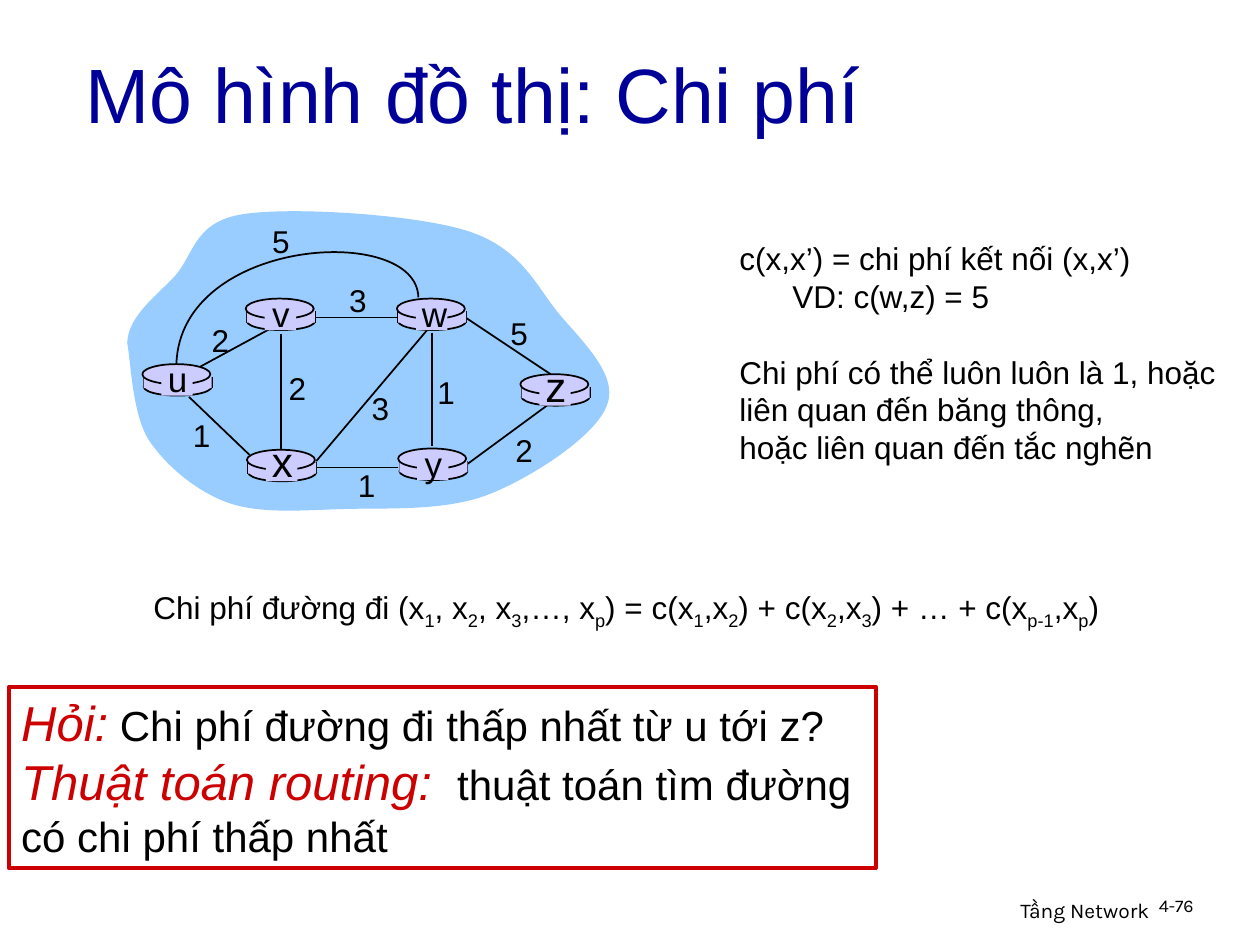
from collections import namedtuple
from dataclasses import dataclass

import lxml.etree
import pptx
import pptx.dml.color
import pptx.enum.shapes
import pptx.enum.text
import pptx.oxml.ns
import pptx.util

PX = 9144  # 100 px to the inch
ALIGN = pptx.enum.text.PP_ALIGN
SHAPE = pptx.enum.shapes.MSO_SHAPE

Box = namedtuple("Box", "left top width height")
Link = namedtuple("Link", "start end cost cost_at")
Router = namedtuple("Router", "name left top size")


@dataclass(frozen=True)
class Theme:
    ink: str = "000000"
    title: str = "000099"
    accent: str = "CC0000"
    cloud: str = "99CCFF"
    router: str = "CCCCFF"
    font: str = "Arial"
    footer_font: str = "Karla"
    title_size: float = 44
    lead_size: float = 28
    question_size: float = 24
    body_size: float = 18
    footer_size: float = 12
    number_size: float = 10.2
    thin: float = 1
    frame: float = 2.25


THEME = Theme()

CLOUD = [(0, 108), (1, 87), (22, 72), (38, 55), (53, 38), (53, 12), (92, 6),
         (130, 0), (227, 6), (269, 19), (311, 32), (323, 60), (341, 83),
         (360, 106), (390, 133), (381, 157), (373, 181), (323, 214), (288, 228),
         (253, 242), (207, 239), (172, 240), (138, 241), (106, 244), (80, 235),
         (55, 226), (31, 206), (17, 185), (4, 164), (3, 124), (0, 108)]
ARC = [(231, 72), (230, 13), (42, 24), (39, 125)]
ARC_COST = ("5", (105, 7))
ROUTERS = [Router("u", 12, 125, 20), Router("x", 95, 193, 24),
           Router("v", 94, 73, 20), Router("w", 214, 73, 20),
           Router("y", 215, 192, 20), Router("z", 312, 133, 24)]
LINKS = [Link((58, 127), (117, 95), "2", (57, 86)),
         Link((122, 101), (122, 194), "2", (118, 124)),
         Link((97, 197), (49, 151), "1", (42, 161)),
         Link((150, 202), (238, 98), "3", (184, 140)),
         Link((215, 207), (151, 207), "1", (173, 201)),
         Link((242, 100), (242, 190), "1", (236, 127)),
         Link((269, 205), (333, 158), "2", (298, 173)),
         Link((336, 133), (267, 87), "5", (294, 80)),
         Link((214, 88), (150, 88), "3", (166, 54))]


def color(value):
    return pptx.dml.color.RGBColor.from_string(value)


def emu(box):
    return [length * PX for length in box]


def style_font(font, size, fill=THEME.ink, name=THEME.font):
    font.name = name
    font.size = pptx.util.Pt(size)
    font.color.rgb = color(fill)


def paint(shape, fill=None, line=None, width=THEME.thin):
    shape.shadow.inherit = False
    if fill:
        shape.fill.solid()
        shape.fill.fore_color.rgb = color(fill)
    else:
        shape.fill.background()
    if line:
        shape.line.color.rgb = color(line)
        shape.line.width = pptx.util.Pt(width)
    else:
        shape.line.fill.background()


def add_block(page, kind, box, **style):
    paint(page.shapes.add_shape(kind, *emu(box)), **style)


def add_line(page, start, end):
    line = page.shapes.add_connector(
        pptx.enum.shapes.MSO_CONNECTOR.STRAIGHT, *emu(start + end))
    line.line.color.rgb = color(THEME.ink)
    line.line.width = pptx.util.Pt(THEME.thin)
    properties = line._element.spPr
    lxml.etree.SubElement(properties, pptx.oxml.ns.qn("a:effectLst"))


def add_curve(page, box, points, close, **style):
    """Draw a chain of cubic curves: a start, then three points per curve."""
    placed = [(box.left + x, box.top + y) for x, y in points]
    builder = page.shapes.build_freeform(*placed[0], scale=float(PX))
    builder.add_line_segments(placed[1:], close=close)
    shape = builder.convert_to_shape()
    segments = list(shape._element.iter(pptx.oxml.ns.qn("a:lnTo")))
    for first in range(0, len(points) - 1, 3):
        curve = lxml.etree.Element(pptx.oxml.ns.qn("a:cubicBezTo"))
        segments[first].addprevious(curve)
        for segment in segments[first:first + 3]:
            curve.append(segment[0])
            segment.getparent().remove(segment)
    paint(shape, **style)


def add_text(page, box, lines, size, align=ALIGN.LEFT, wrap=False,
             name=THEME.font):
    """Add one paragraph per line and return the text box."""
    shape = page.shapes.add_textbox(*emu(box))
    frame = shape.text_frame
    frame.word_wrap = wrap
    for index, line in enumerate(lines):
        para = frame.add_paragraph() if index else frame.paragraphs[0]
        para.text = line
        para.alignment = align
        style_font(para.font, size, name=name)
    return shape


def add_router(page, box, router):
    def part(left, top, width, height):
        return Box(box.left + left, box.top + top, width, height)

    look = dict(fill=THEME.router, line=THEME.ink)
    add_block(page, SHAPE.OVAL, part(1, 11, 54, 14), **look)
    for side in (1, 55):
        add_line(page, (box.left + side, box.top + 10),
                 (box.left + side, box.top + 19))
    add_block(page, SHAPE.RECTANGLE, part(1, 10, 54, 9), fill=THEME.router)
    add_block(page, SHAPE.OVAL, part(0, 0, 54, 16), **look)


def add_router_name(page, box, router):
    patch = Box(box.left + 15, box.top + 2, 25, 23)
    add_block(page, SHAPE.RECTANGLE, patch, fill=THEME.router)
    height = 44 if router.size == 20 else 50
    top = box.top + (-10 if router.size == 20 else -16)
    add_text(page, Box(box.left + 10, top, 36, height), [router.name],
             router.size, ALIGN.CENTER)


def add_graph(page, box):
    add_curve(page, box, CLOUD, True, fill=THEME.cloud)
    places = [(Box(box.left + router.left, box.top + router.top, 55, 25), router)
              for router in ROUTERS]
    for link in LINKS:
        ends = [(box.left + x, box.top + y) for x, y in (link.start, link.end)]
        add_line(page, *ends)
    for place, router in places:
        add_router(page, place, router)
    add_curve(page, box, ARC, False, line=THEME.ink)
    for place, router in places:
        add_router_name(page, place, router)
    costs = [(link.cost, link.cost_at) for link in LINKS] + [ARC_COST]
    for cost, (x, y) in costs:
        add_text(page, Box(box.left + x, box.top + y, 34, 40), [cost],
                 THEME.body_size, ALIGN.CENTER)


def add_title(page, box):
    title = page.shapes.title
    title.left, title.top, title.width, title.height = emu(box)
    frame = title.text_frame
    frame.text = "Mô hình đồ thị: Chi phí"
    frame.auto_size = pptx.enum.text.MSO_AUTO_SIZE.NONE
    frame.vertical_anchor = pptx.enum.text.MSO_ANCHOR.MIDDLE
    frame.paragraphs[0].alignment = ALIGN.LEFT
    style_font(frame.paragraphs[0].font, THEME.title_size, THEME.title)


def add_cost_notes(page, box):
    lines = ["c(x,x’) = chi phí kết nối (x,x’)", "VD: c(w,z) = 5",
             "Chi phí có thể luôn luôn là 1, hoặc",
             "liên quan đến băng thông,", "hoặc liên quan đến tắc nghẽn"]
    paras = add_text(page, box, lines, THEME.body_size).text_frame.paragraphs
    paras[1]._p.get_or_add_pPr().set("marL", str(42 * PX))
    paras[2].space_before = pptx.util.Pt(21.6)


def add_path_cost(page, box):
    """Write the formula, where _ sets off each subscript."""
    formula = ("Chi phí đường đi (x_1_, x_2_, x_3_,…, x_p_) = c(x_1_,x_2_)"
               " + c(x_2_,x_3_) + … + c(x_p-1_,x_p_)")
    para = add_text(page, box, [""], THEME.body_size).text_frame.paragraphs[0]
    for index, piece in enumerate(formula.split("_")):
        span = para.add_run()
        span.text = piece
        if index % 2:
            span._r.get_or_add_rPr().set("baseline", "-25000")


def add_question(page, box):
    lines = [("Hỏi:", " Chi phí đường đi thấp nhất từ u tới z?"),
             ("Thuật toán routing: ", " thuật toán tìm đường"),
             ("", "có chi phí thấp nhất")]
    shape = add_text(page, box, [""] * len(lines), THEME.question_size)
    paint(shape, line=THEME.accent, width=THEME.frame)
    for para, (lead, rest) in zip(shape.text_frame.paragraphs, lines):
        if lead:
            span = para.add_run()
            span.text = lead
            span.font.italic = True
            style_font(span.font, THEME.lead_size, THEME.accent)
        para.add_run().text = rest


def add_footer(page, box):
    add_text(page, Box(box.left, box.top, 317, 31), ["Tầng Network"],
             THEME.footer_size, ALIGN.RIGHT, True, THEME.footer_font)
    number = add_text(page, Box(box.left + 305, box.top, 74, 30), ["4-76"],
                      THEME.number_size, wrap=True, name=THEME.footer_font)
    number.text_frame.paragraphs[0].line_spacing = 0.9


def main():
    deck = pptx.Presentation()
    deck.slide_width, deck.slide_height = emu((1000, 750))
    page = deck.slides.add_slide(deck.slide_layouts[5])
    add_footer(page, Box(605, 707, 379, 31))
    add_title(page, Box(58, 24, 850, 99))
    add_graph(page, Box(101, 164, 391, 245))
    add_cost_notes(page, Box(577, 185, 398, 190))
    add_path_cost(page, Box(112, 462, 784, 44))
    add_question(page, Box(7, 545, 688, 144))
    deck.save("out.pptx")


if __name__ == "__main__":
    main()
